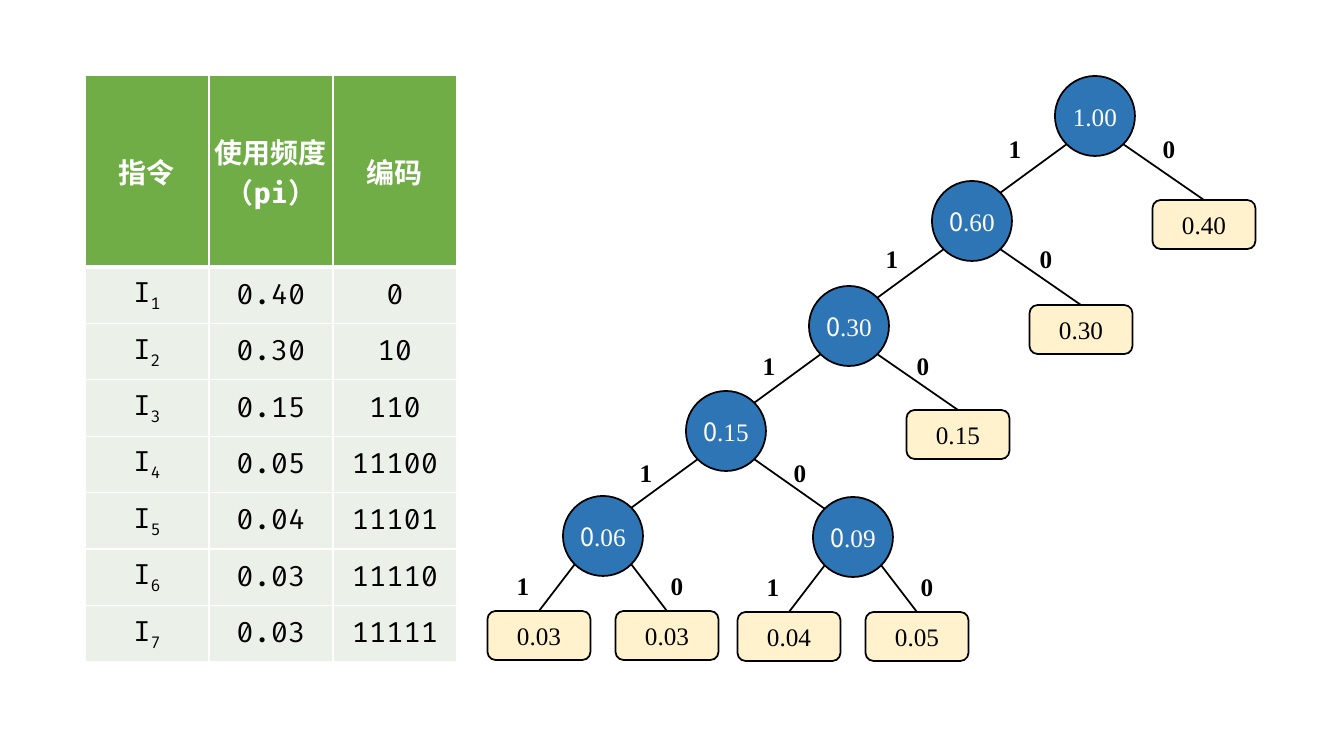
"""Build a slide with an instruction code table beside its Huffman tree."""
import pptx
import pptx.util
import pptx.dml.color
import pptx.enum.shapes
import pptx.enum.text
import pptx.oxml.ns
from lxml import etree

FREQUENCY_HEADS = [["指令"], ["使用频度", "（pi）"]]
CODE_HEADS = [["编码"]]
INSTRUCTIONS = [
    ("0.40", "0"), ("0.30", "10"), ("0.15", "110"), ("0.05", "11100"),
    ("0.04", "11101"), ("0.03", "11110"), ("0.03", "11111"),
]
HUFFMAN = ("1.00", ("0.60", ("0.30", ("0.15", ("0.06", "0.03", "0.03"),
                                      ("0.09", "0.04", "0.05")), "0.15"), "0.30"), "0.40")

COLOURS = {"node": "2E75B6", "leaf": "FFF2CC", "header": "70AD47",
           "body": "EBF1E9", "ink": "000000", "white": "FFFFFF"}
SERIF, SANS, MONO = "Times New Roman", "Noto Sans CJK SC", "Fira Code"

ROOT = (1095, 116)
NODE, LEAF_W, LEAF_H, LABEL_W = 80, 103, 49, 56
RIM = 28
INNER_STEPS = [(-123, 105), (127, 106)]
LEAF_STEP = (109, 84)
LAST_LEAF_STEPS = [(-64, 75), (64, 75)]
LABEL_X = [-80, 74]
LABEL_DROPS = [32, 37, 39, 41, 49]
TABLE_LEFT, TABLE_TOP, COLUMN_W, HEADER_H, BODY_H = 85, 75, 124, 192, 395


def px(length):
    return pptx.util.Emu(round(length * 914400 / 100.8))


def rgb(name):
    return pptx.dml.color.RGBColor.from_string(COLOURS[name])


def add_run(paragraph, text, font, size, colour, bold=False):
    paragraph.alignment = pptx.enum.text.PP_ALIGN.CENTER
    run = paragraph.add_run()
    run.text = text
    run.font.name, run.font.size, run.font.bold = font, pptx.util.Pt(size), bold
    run.font.color.rgb = rgb(colour)
    return run


def add_block(kind, x, y, width, height, runs, ink, fill=None, bold=False):
    block = slide.shapes.add_shape(kind, px(x - width / 2), px(y - height / 2),
                                   px(width), px(height))
    block.shadow.inherit = False
    if fill:
        block.fill.solid()
        block.fill.fore_color.rgb = rgb(fill)
        block.line.color.rgb = rgb("ink")
        block.line.width = pptx.util.Pt(1.25)
    else:
        block.fill.background()
        block.line.fill.background()
    frame = block.text_frame
    frame.margin_left = frame.margin_top = frame.margin_right = frame.margin_bottom = 0
    frame.vertical_anchor = pptx.enum.text.MSO_ANCHOR.MIDDLE
    for text, font in runs:
        add_run(frame.paragraphs[0], text, font, 18, ink, bold)


def add_branch(start, end):
    branch = slide.shapes.add_connector(pptx.enum.shapes.MSO_CONNECTOR.STRAIGHT,
                                        *map(px, start + end))
    branch.line.color.rgb = rgb("ink")
    branch.line.width = pptx.util.Pt(1.25)
    etree.SubElement(branch._element.spPr, pptx.oxml.ns.qn("a:effectLst"))


def draw_tree(node, x, y, depth=0):
    value, *children = node
    rounded = pptx.enum.shapes.MSO_SHAPE.ROUNDED_RECTANGLE
    all_leaves = all(isinstance(child, str) for child in children)
    for side, child in enumerate(children):
        sign = 2 * side - 1
        is_leaf = isinstance(child, str)
        if all_leaves:
            dx, dy = LAST_LEAF_STEPS[side]
        else:
            dx, dy = LEAF_STEP if is_leaf else INNER_STEPS[side]
        child_x, child_y = x + dx, y + dy
        start = (x + sign * RIM, y + RIM)
        if is_leaf:
            add_branch(start, (child_x, child_y))
            add_block(rounded, child_x, child_y + LEAF_H / 2, LEAF_W, LEAF_H,
                      [(child, SERIF)], "ink", "leaf")
        else:
            add_branch(start, (child_x - sign * RIM, child_y - RIM))
            draw_tree(child, child_x, child_y, depth + 1)
        add_block(rounded, x + LABEL_X[side], y + LABEL_DROPS[depth], LABEL_W, LEAF_H,
                  [(str(1 - side), SERIF)], "ink", bold=True)
    runs = [(value, SERIF)] if depth == 0 else [(value[0], SANS), (value[1:], SERIF)]
    add_block(pptx.enum.shapes.MSO_SHAPE.OVAL, x, y, NODE, NODE, runs, "white", "node")


def format_cell(cell, fill, bottom):
    cell.fill.solid()
    cell.fill.fore_color.rgb = rgb(fill)
    cell.vertical_anchor = pptx.enum.text.MSO_ANCHOR.MIDDLE
    cell.margin_left = cell.margin_top = cell.margin_right = px(1)
    cell.margin_bottom = 0
    properties = cell._tc.get_or_add_tcPr()
    for index, (edge, width) in enumerate(zip("LRTB", (1, 1, 1, bottom))):
        border = etree.Element(pptx.oxml.ns.qn("a:ln" + edge), w=str(pptx.util.Pt(width)))
        solid = etree.SubElement(border, pptx.oxml.ns.qn("a:solidFill"))
        etree.SubElement(solid, pptx.oxml.ns.qn("a:srgbClr"), val=COLOURS["white"])
        properties.insert(index, border)


def add_code_table(left, heads, rows):
    table = slide.shapes.add_table(len(rows) + 1, len(heads), px(left), px(TABLE_TOP),
                                   px(COLUMN_W * len(heads)), px(HEADER_H + BODY_H)).table
    for column in table.columns:
        column.width = px(COLUMN_W)
    for index, row in enumerate(table.rows):
        row.height = px(BODY_H / len(rows) if index else HEADER_H)
    for column, lines in enumerate(heads):
        cell = table.cell(0, column)
        format_cell(cell, "header", 3)
        for index, line in enumerate(lines):
            frame = cell.text_frame
            paragraph = frame.add_paragraph() if index else frame.paragraphs[0]
            add_run(paragraph, line, MONO, 20, "white", True)
    for index, row in enumerate(rows, 1):
        for column, (text, subscript) in enumerate(row):
            cell = table.cell(index, column)
            format_cell(cell, "body", 1)
            paragraph = cell.text_frame.paragraphs[0]
            add_run(paragraph, text, MONO, 20, "ink")
            if subscript:
                run = add_run(paragraph, subscript, MONO, 20, "ink")
                run._r.get_or_add_rPr().set("baseline", "-25000")


deck = pptx.Presentation()
deck.slide_width, deck.slide_height = px(1344), px(756)
slide = deck.slides.add_slide(deck.slide_layouts[6])
draw_tree(HUFFMAN, *ROOT)
add_code_table(TABLE_LEFT, FREQUENCY_HEADS,
               [[("I", str(number)), (frequency, "")]
                for number, (frequency, code) in enumerate(INSTRUCTIONS, 1)])
add_code_table(TABLE_LEFT + COLUMN_W * len(FREQUENCY_HEADS), CODE_HEADS,
               [[(code, "")] for frequency, code in INSTRUCTIONS])
deck.save("out.pptx")
